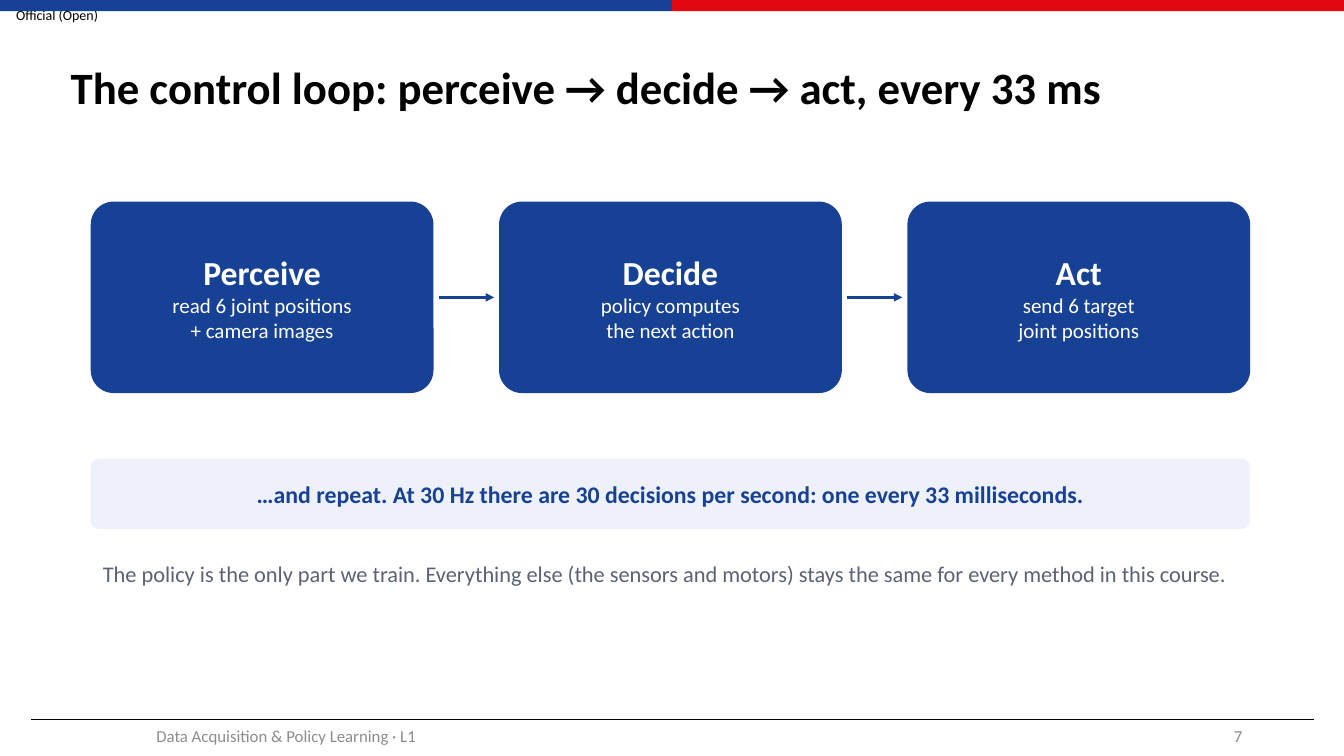
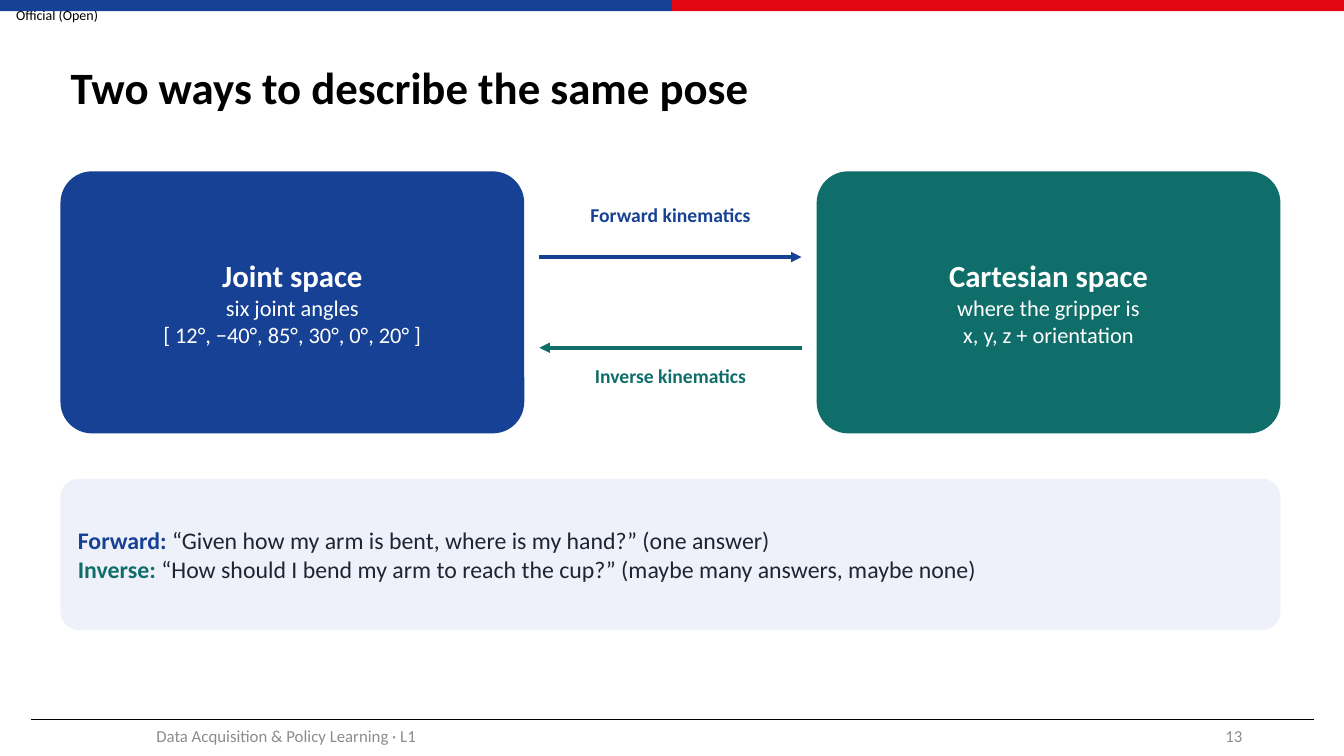
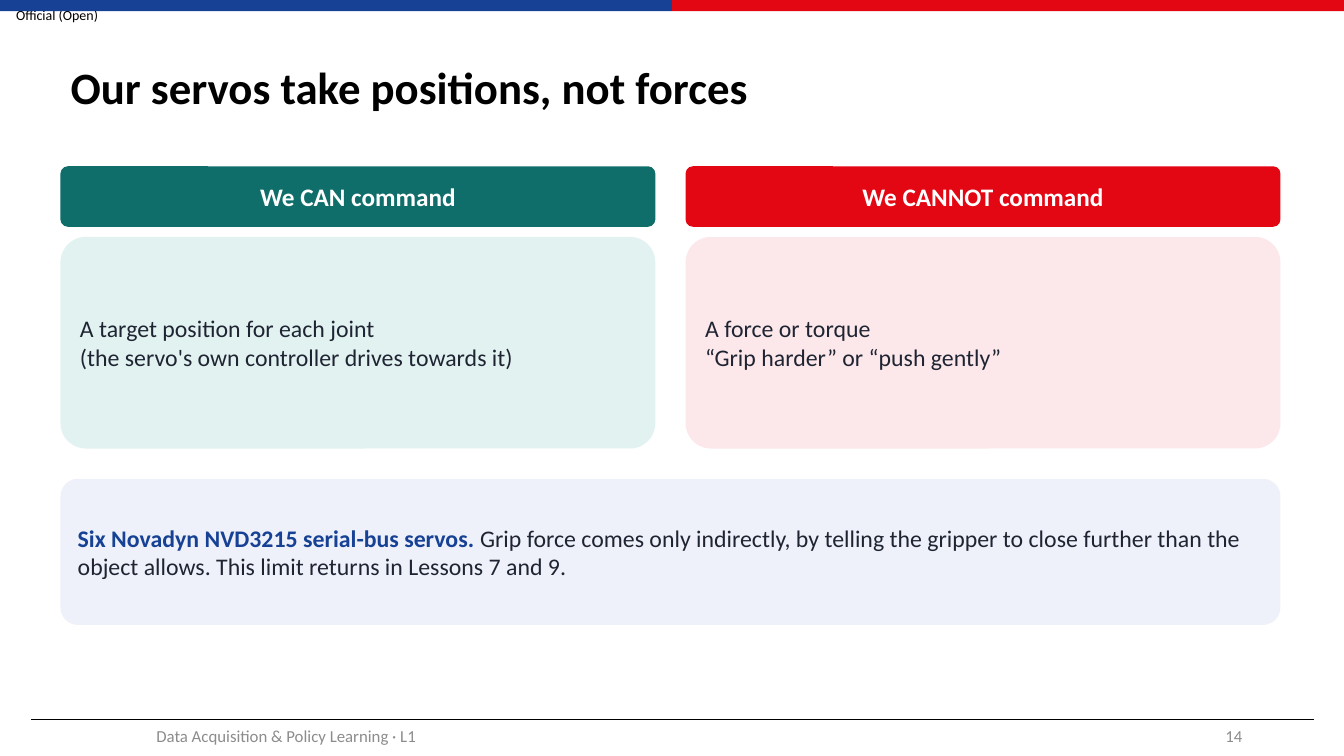
from dataclasses import dataclass

from lxml.etree import SubElement
from pptx import Presentation
from pptx.dml.color import RGBColor
from pptx.enum.shapes import MSO_CONNECTOR, MSO_SHAPE
from pptx.enum.text import MSO_ANCHOR, MSO_AUTO_SIZE, PP_ALIGN
from pptx.oxml.ns import qn
from pptx.util import Inches, Pt


@dataclass(frozen=True)
class Theme:
    width: float = 13.33
    height: float = 7.5
    margin: float = 0.6
    content: float = 12.1
    font: str = "Calibri"
    # Colours
    blue: str = "164194"
    red: str = "E30613"
    teal: str = "0F6E6A"
    pale_blue: str = "EEF1F9"
    pale_teal: str = "E2F2F1"
    pale_red: str = "FCE8EA"
    black: str = "000000"
    white: str = "FFFFFF"
    ink: str = "1F2433"
    muted: str = "5B6275"
    footer: str = "8C8C8C"
    # Type sizes
    title_size: float = 32
    step_size: float = 24
    space_size: float = 22
    heading_size: float = 18
    body_size: float = 17
    note_size: float = 16
    step_detail_size: float = 15
    label_size: float = 14
    footer_size: float = 12
    marking_size: float = 10


THEME = Theme()
CARD_INSETS = (0.12, 0.06, 0.12, 0.06)
PLAIN_INSETS = (0.1, 0.05, 0.1, 0.05)
FOOTER_TEXT = "Data Acquisition & Policy Learning · L1"


# Grid and text
def columns(left, total, count, gap):
    """Return the left edges and the shared width of equal columns."""
    width = (total - gap * (count - 1)) / count
    return [left + index * (width + gap) for index in range(count)], width


def span(text, size, color, bold=False):
    return text, {"size": Pt(size), "bold": bold, "name": THEME.font}, color


def write(frame, paragraphs, align=PP_ALIGN.LEFT, anchor=MSO_ANCHOR.MIDDLE,
          insets=CARD_INSETS):
    """Fill a text frame; each paragraph is a list of spans."""
    left, top, right, bottom = map(Inches, insets)
    frame_format = {
        "word_wrap": True, "auto_size": MSO_AUTO_SIZE.NONE, "vertical_anchor": anchor,
        "margin_left": left, "margin_top": top,
        "margin_right": right, "margin_bottom": bottom,
    }
    for name, value in frame_format.items():
        setattr(frame, name, value)
    for index, spans in enumerate(paragraphs):
        para = frame.add_paragraph() if index else frame.paragraphs[0]
        para.alignment = align
        for text, font_format, color in spans:
            run = para.add_run()
            run.text = text
            for name, value in font_format.items():
                setattr(run.font, name, value)
            run.font.color.rgb = RGBColor.from_string(color)


# Elements
def add_text(page, area, paragraphs, **layout):
    box = page.shapes.add_textbox(*map(Inches, area))
    write(box.text_frame, paragraphs, **layout)
    return box


def add_block(page, area, fill, kind=MSO_SHAPE.RECTANGLE):
    block = page.shapes.add_shape(kind, *map(Inches, area))
    block.shadow.inherit = False
    block.fill.solid()
    block.fill.fore_color.rgb = RGBColor.from_string(fill)
    block.line.fill.background()
    return block


def add_card(page, area, fill, paragraphs, align=PP_ALIGN.LEFT):
    card = add_block(page, area, fill, MSO_SHAPE.ROUNDED_RECTANGLE)
    card.adjustments[0] = 0.12
    write(card.text_frame, paragraphs, align)


def add_titled_card(page, area, fill, heading, details, heading_size, detail_size):
    paragraphs = [[span(heading, heading_size, THEME.white, True)]]
    paragraphs += [[span(line, detail_size, THEME.white)] for line in details]
    add_card(page, area, fill, paragraphs, PP_ALIGN.CENTER)


def add_line(page, start, end, color, weight, arrow=False):
    line = page.shapes.add_connector(MSO_CONNECTOR.STRAIGHT, *map(Inches, start + end))
    line.line.color.rgb = RGBColor.from_string(color)
    line.line.width = Pt(weight)
    properties = line.element.spPr
    if arrow:
        SubElement(properties.find(qn("a:ln")), qn("a:tailEnd"), type="triangle")
    SubElement(properties, qn("a:effectLst"))
    return line


# Shared page parts
def furnish_layout(layout, page):
    """Draw the marking, bands and footer rule on a page, then move them to its layout."""
    marking = [[span("Official (Open)", THEME.marking_size, THEME.black)]]
    half = THEME.width / 2
    parts = [add_text(page, (0, 0, 1.13, 0.29), marking, insets=(0.16, 0, 0, 0))]
    for index, color in enumerate((THEME.blue, THEME.red)):
        parts.append(add_block(page, (index * half, 0, half, 0.11), color))
    parts.append(add_line(page, (0.31, 7.14), (13.03, 7.14), THEME.black, 0.5))
    for part in parts:
        layout.element.cSld.spTree.append(part.element)


def add_page(deck, layout, title, number):
    page = deck.slides.add_slide(layout)
    heading = page.shapes.title
    place = {"left": THEME.margin, "top": 0.3, "width": 12.08, "height": 1.18}
    for name, value in place.items():
        setattr(heading, name, Inches(value))
    write(heading.text_frame, [[span(title, THEME.title_size, THEME.black, True)]],
          insets=PLAIN_INSETS)
    heading.text_frame.paragraphs[0].line_spacing = 0.9
    footers = (
        (0.59, 4.5, FOOTER_TEXT, PP_ALIGN.CENTER),
        (9.42, 3, str(number), PP_ALIGN.RIGHT),
    )
    for left, width, text, align in footers:
        add_text(page, (left, 7.1, width, 0.4),
                 [[span(text, THEME.footer_size, THEME.footer)]],
                 align=align, insets=PLAIN_INSETS)
    return page


# Pages
def fill_control_loop(page):
    left, total, gap = 0.9, 11.5, 0.65
    top, height, clearance = 2, 1.9, 0.05
    steps = (
        ("Perceive", ("read 6 joint positions", "+ camera images")),
        ("Decide", ("policy computes", "the next action")),
        ("Act", ("send 6 target", "joint positions")),
    )
    lefts, width = columns(left, total, len(steps), gap)
    for x, (heading, details) in zip(lefts, steps):
        add_titled_card(page, (x, top, width, height), THEME.blue, heading, details,
                        THEME.step_size, THEME.step_detail_size)
    middle = top + height / 2
    for x in lefts[1:]:
        add_line(page, (x - gap + clearance, middle), (x - clearance, middle),
                 THEME.blue, 2, arrow=True)
    repeat = "…and repeat. At 30 Hz there are 30 decisions per second: one every 33 milliseconds."
    add_card(page, (left, 4.55, total, 0.7), THEME.pale_blue,
             [[span(repeat, THEME.body_size, THEME.blue, True)]], PP_ALIGN.CENTER)
    note = ("The policy is the only part we train. Everything else (the sensors and "
            "motors) stays the same for every method in this course.")
    add_text(page, (left, 5.5, total, 0.9),
             [[span(note, THEME.note_size, THEME.muted)]], anchor=MSO_ANCHOR.TOP)


def fill_pose_spaces(page):
    spaces = (
        ("Joint space", ("six joint angles", "[ 12°, −40°, 85°, 30°, 0°, 20° ]"), THEME.blue),
        ("Cartesian space", ("where the gripper is", "x, y, z + orientation"), THEME.teal),
    )
    lefts, width = columns(THEME.margin, THEME.content, len(spaces), 2.9)
    for x, (heading, details, fill) in zip(lefts, spaces):
        add_titled_card(page, (x, 1.7, width, 2.6), fill, heading, details,
                        THEME.space_size, THEME.note_size)

    # Arrows between the two spaces, with their labels
    near, far = lefts[0] + width + 0.15, lefts[1] - 0.15
    mappings = (
        ("Forward kinematics", near, far, 2.55, 1.95, THEME.blue),
        ("Inverse kinematics", far, near, 3.45, 3.55, THEME.teal),
    )
    for label, start, end, y, label_top, color in mappings:
        add_line(page, (start, y), (end, y), color, 2.5, arrow=True)
        add_text(page, (near - 0.05, label_top, far - near + 0.1, 0.5),
                 [[span(label, THEME.label_size, color, True)]],
                 align=PP_ALIGN.CENTER, anchor=MSO_ANCHOR.TOP)

    questions = (
        ("Forward: ", "“Given how my arm is bent, where is my hand?” (one answer)", THEME.blue),
        ("Inverse: ", "“How should I bend my arm to reach the cup?” "
                      "(maybe many answers, maybe none)", THEME.teal),
    )
    add_card(page, (THEME.margin, 4.75, THEME.content, 1.5), THEME.pale_blue,
             [[span(lead, THEME.body_size, color, True),
               span(question, THEME.body_size, THEME.ink)]
              for lead, question, color in questions])


def fill_servo_commands(page):
    commands = (
        ("We CAN command", THEME.teal, THEME.pale_teal,
         ("A target position for each joint",
          "(the servo's own controller drives towards it)")),
        ("We CANNOT command", THEME.red, THEME.pale_red,
         ("A force or torque", "“Grip harder” or “push gently”")),
    )
    lefts, width = columns(THEME.margin, THEME.content, len(commands), 0.3)
    for x, (heading, color, tint, lines) in zip(lefts, commands):
        add_card(page, (x, 1.65, width, 0.6), color,
                 [[span(heading, THEME.heading_size, THEME.white, True)]], PP_ALIGN.CENTER)
        add_card(page, (x, 2.35, width, 2.1), tint,
                 [[span(line, THEME.body_size, THEME.ink)] for line in lines])
    limit = ("Grip force comes only indirectly, by telling the gripper to close further "
             "than the object allows. This limit returns in Lessons 7 and 9.")
    add_card(page, (THEME.margin, 4.75, THEME.content, 1.45), THEME.pale_blue,
             [[span("Six Novadyn NVD3215 serial-bus servos. ", THEME.body_size,
                    THEME.blue, True),
               span(limit, THEME.body_size, THEME.ink)]])


def main():
    deck = Presentation()
    deck.slide_width, deck.slide_height = Inches(THEME.width), Inches(THEME.height)
    layout = deck.slide_layouts.get_by_name("Title Only")
    pages = (
        ("The control loop: perceive → decide → act, every 33 ms", 7, fill_control_loop),
        ("Two ways to describe the same pose", 13, fill_pose_spaces),
        ("Our servos take positions, not forces", 14, fill_servo_commands),
    )
    for title, number, fill_page in pages:
        fill_page(add_page(deck, layout, title, number))
    furnish_layout(layout, deck.slides[0])
    deck.save("out.pptx")


if __name__ == "__main__":
    main()
